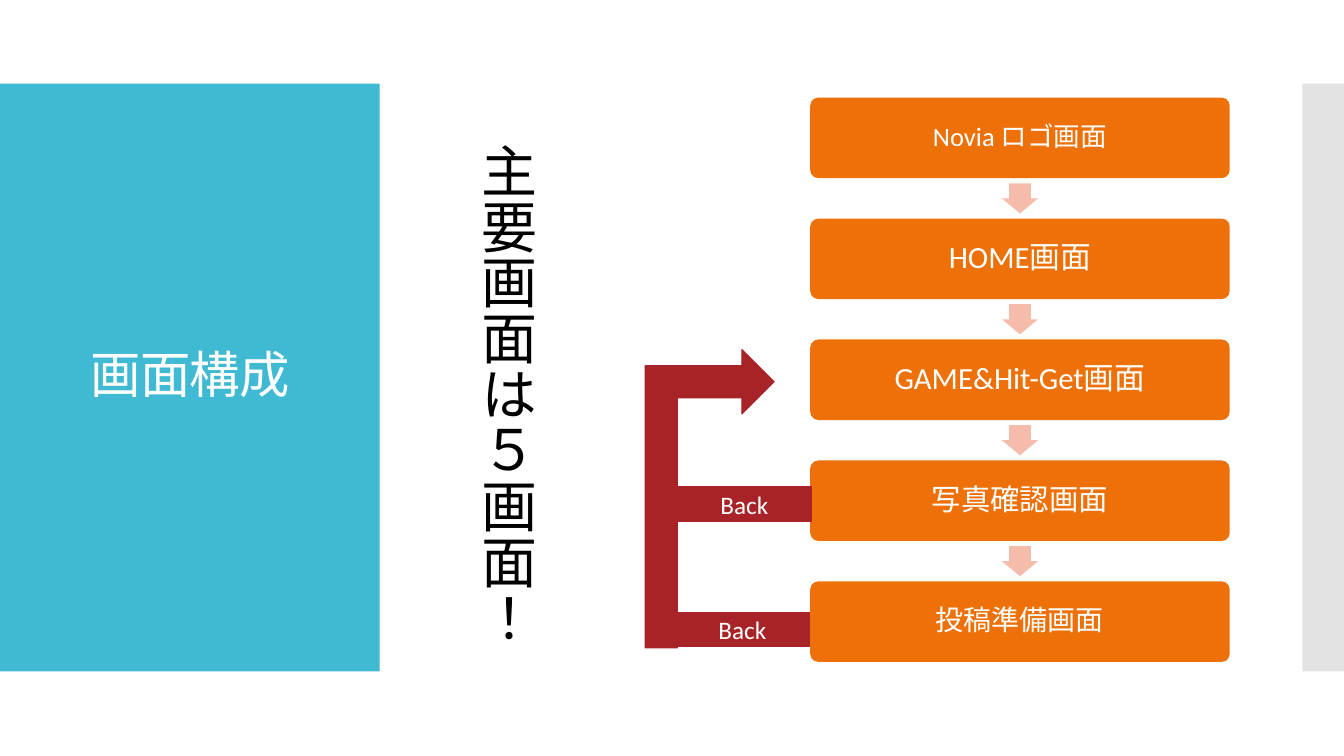
from lxml.etree import SubElement
from pptx import Presentation
from pptx.dml.color import RGBColor
from pptx.enum.lang import MSO_LANGUAGE_ID
from pptx.enum.shapes import MSO_SHAPE
from pptx.enum.text import MSO_ANCHOR, PP_ALIGN
from pptx.oxml.ns import qn
from pptx.util import Cm, Pt

FONT = "Calibri"
HUES = {"teal": "40BAD2", "gray": "C8C8C8", "step": "EE7008", "down": "F5BBAB",
        "back": "A72327", "white": "FFFFFF", "black": "000000"}
STEPS = [([("Novia ", 19), ("ロゴ画面", 19)], 0.2),
         ([("HOME", 22), ("画面", 22)], 0.23),
         ([("GAME&Hit-Get", 22), ("画面", 22)], 0.23),
         ([("写真確認画面", 21)], 0.23),
         ([("投稿準備画面", 20)], 0.2)]


def hue(name):
    """Give the colour of that name."""
    return RGBColor.from_string(HUES[name])


def draw(slide, kind, box, fill, edge=False):
    """Add a flat preset shape at box (left, top, width, height in cm)."""
    shape = slide.shapes.add_shape(kind, *map(Cm, box))
    shape.shadow.inherit = False
    shape.fill.solid()
    shape.fill.fore_color.rgb = hue(fill)
    if edge:
        shape.line.color.rgb = hue(fill)
        shape.line.width = Pt(0.75)
    else:
        shape.line.fill.background()
    return shape


def write(frame, runs, color="white", align=PP_ALIGN.CENTER, space=None):
    """Fill the first paragraph of a frame run by run."""
    frame.word_wrap = True
    para = frame.paragraphs[0]
    para.alignment = align
    para.line_spacing = space
    for text, size in runs:
        run = para.add_run()
        run.text = text
        font = run.font
        font.name, font.size = FONT, Pt(size)
        font.color.rgb = hue(color)
        font.language_id = MSO_LANGUAGE_ID.JAPANESE
    return para


def add_bands(slide, box, edge):
    """Draw the teal title band in box and the pale strip from edge."""
    draw(slide, MSO_SHAPE.RECTANGLE, box, "teal")
    x, y, w, h = box
    strip = draw(slide, MSO_SHAPE.RECTANGLE, (edge, y, 33.87 - edge, h), "gray")
    tint = strip.fill._xPr.find(".//" + qn("a:srgbClr"))
    SubElement(tint, qn("a:alpha"), val="50000")


def add_title(slide, box):
    """Place the title in box."""
    title = slide.shapes.title
    title.left, title.top, title.width, title.height = map(Cm, box)
    frame = title.text_frame
    frame.vertical_anchor = MSO_ANCHOR.MIDDLE
    para = write(frame, [("画面構成", 36)], space=0.9)
    para.runs[0].font._element.set("spc", "-60")


def add_flow(slide, box):
    """Stack the screens in box, with a down arrow in each gap."""
    x, y, w, h = box
    high, wide, tall = 2.03, 0.91, 0.76
    pitch = (h - high) / (len(STEPS) - 1)
    for i, (runs, inset) in enumerate(STEPS):
        top = y + i * pitch
        if i:
            mid = top - (pitch - high) / 2
            down = draw(slide, MSO_SHAPE.DOWN_ARROW,
                        (x + (w - wide) / 2, mid - tall / 2, wide, tall), "down")
            down.adjustments[0], down.adjustments[1] = 0.6, 0.5
        step = draw(slide, MSO_SHAPE.ROUNDED_RECTANGLE, (x, top, w, high), "step")
        step.adjustments[0] = 0.1
        frame = step.text_frame
        frame.vertical_anchor = MSO_ANCHOR.MIDDLE
        frame.margin_left = frame.margin_right = Cm(inset)
        frame.margin_top = frame.margin_bottom = Cm(inset)
        write(frame, runs, space=0.9)


def add_back(slide, box):
    """Draw the return arrow, which fills box, and its two branches."""
    x, y, w, h = box
    turn = draw(slide, MSO_SHAPE.BENT_UP_ARROW,
                (x + (w - h) / 2, y + (h - w) / 2, h, w), "back", True)
    turn.rotation = 270
    turn._element.spPr.xfrm.set("flipV", "1")
    for dx, dy in ((0.81, 3.46), (0.76, 6.63)):
        bar = draw(slide, MSO_SHAPE.RECTANGLE,
                   (x + dx, y + dy, 3.38, 0.86), "back", True)
        bar.text_frame.vertical_anchor = MSO_ANCHOR.MIDDLE
        write(bar.text_frame, [("Back", 18)])


def add_note(slide, box):
    """Set the upright message in box."""
    note = slide.shapes.add_textbox(*map(Cm, box))
    frame = note.text_frame
    write(frame, [("主要画面は５画面！", 40)], "black", PP_ALIGN.LEFT)
    frame._txBody.bodyPr.set("vert", "eaVert")


def main():
    """Build the slide and save it."""
    deck = Presentation()
    deck.slide_width, deck.slide_height = Cm(33.87), Cm(19.05)
    slide = deck.slides.add_slide(deck.slide_layouts[5])
    add_bands(slide, (0, 2.11, 9.57, 14.81), 32.82)
    title = slide.shapes.title._element
    title.getparent().append(title)
    add_title(slide, (0.71, 3.12, 8.18, 12.78))
    add_flow(slide, (20.42, 2.46, 10.57, 14.22))
    add_back(slide, (16.26, 8.81, 3.25, 7.52))
    add_note(slide, (11.51, 3.35, 2.24, 13.89))
    deck.save("out.pptx")


main()
